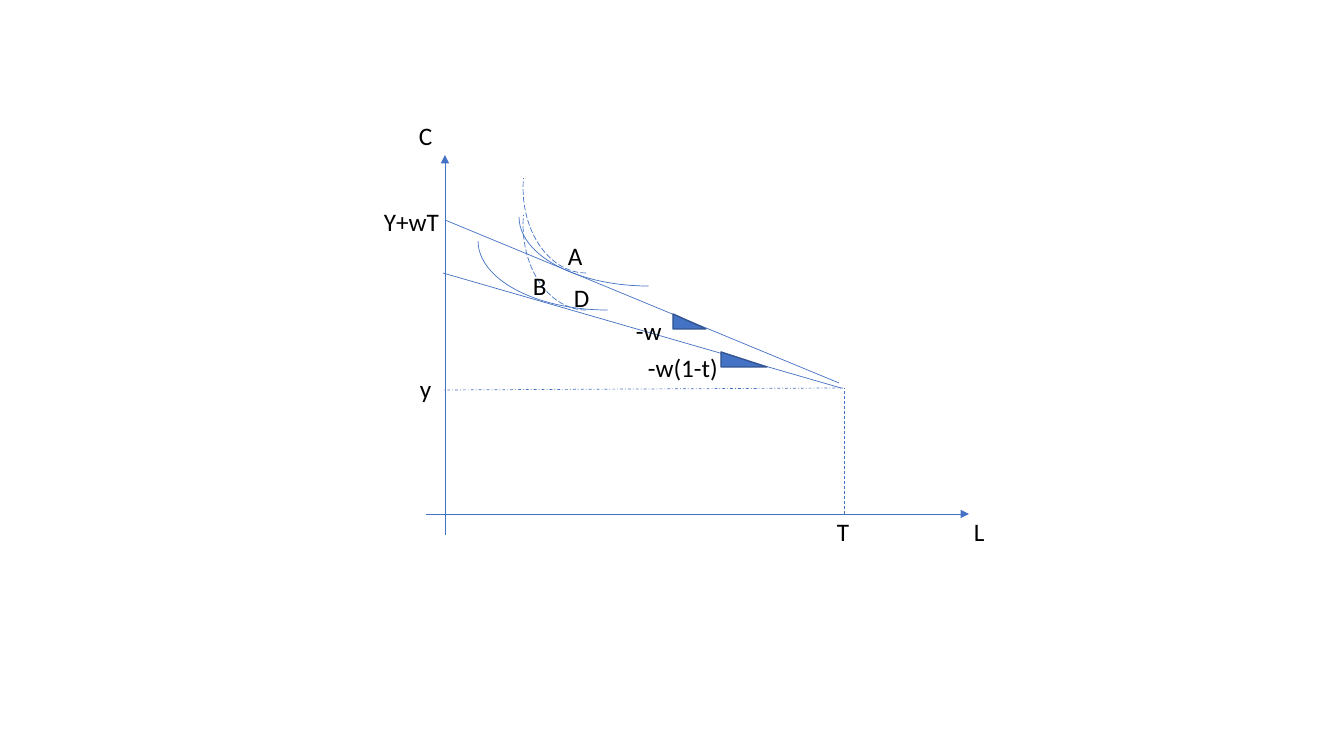
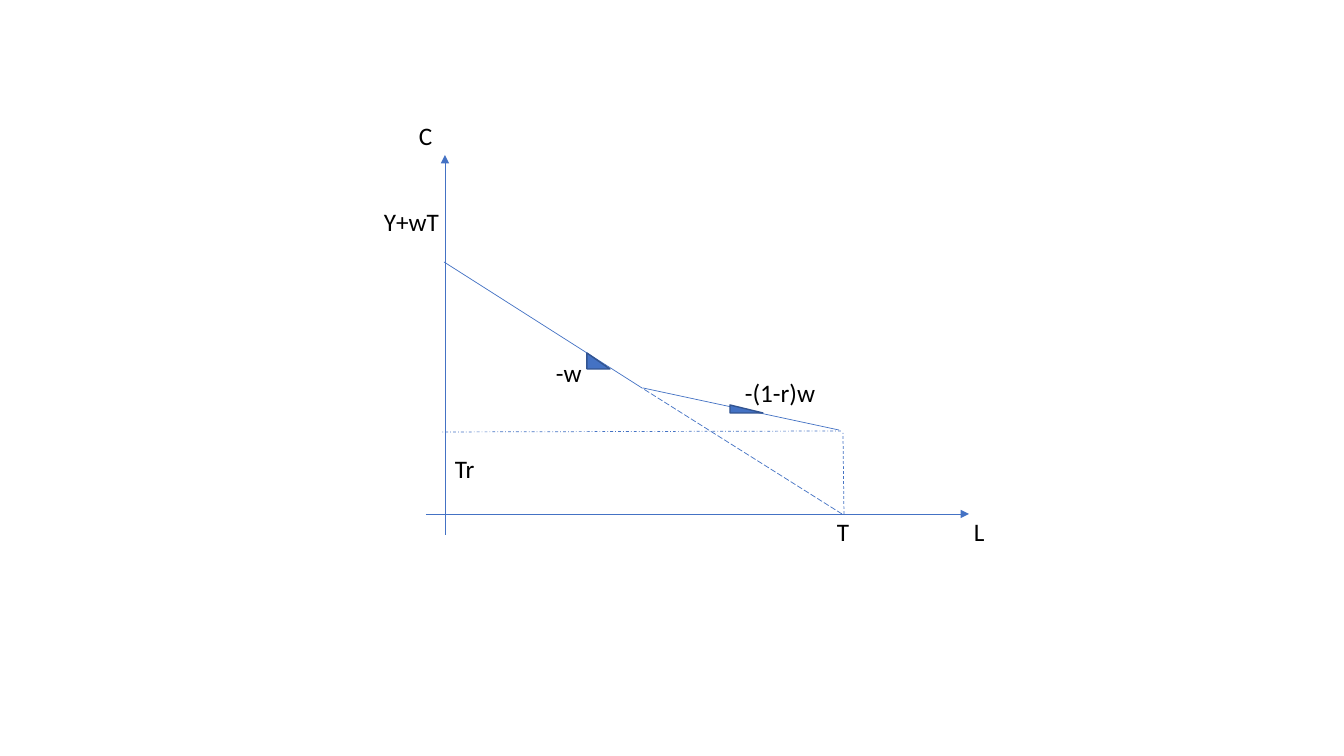
"""Two budget-line diagrams of consumption C against leisure L."""
from lxml import etree
from pptx import Presentation, util as u
from pptx.dml.color import RGBColor
from pptx.enum import dml, shapes, text
from pptx.oxml.ns import qn

SCALE = 914400 / 100.8
HUES = {"blue": "4472C4", "edge": "325491", "ink": "000000"}
DASH = dml.MSO_LINE
FRAME = {"auto_size": text.MSO_AUTO_SIZE.SHAPE_TO_FIT_TEXT}
FONT = {"name": "Calibri", "size": u.Pt(18)}


def px(*nums):
    return [u.Emu(round(n * SCALE)) for n in nums]


def hue(name):
    return RGBColor.from_string(HUES[name])


def assign(item, values):
    for key, value in values.items():
        setattr(item, key, value)


def stroke(item, width=0.5, tone="blue", dash=None):
    item.line.color.rgb = hue(tone)
    assign(item.line, {"width": u.Pt(width), "dash_style": dash})


def line(slide, start, end, dash=None, arrow=False):
    item = slide.shapes.add_connector(
        shapes.MSO_CONNECTOR.STRAIGHT, *px(*start, *end))
    stroke(item, dash=dash)
    props = item._element.spPr
    if arrow:
        etree.SubElement(props.find(qn("a:ln")), qn("a:tailEnd"), type="triangle")
    etree.SubElement(props, qn("a:effectLst"))


def label(slide, words, left, top, width, wrap=False):
    frame = slide.shapes.add_textbox(*px(left, top, width, 40)).text_frame
    assign(frame, {**FRAME, "word_wrap": wrap})
    run = frame.paragraphs[0].add_run()
    run.text = words
    assign(run.font, FONT)
    run.font.color.rgb = hue("ink")


def slope(slide, *box):
    item = slide.shapes.add_shape(shapes.MSO_SHAPE.RIGHT_TRIANGLE, *px(*box))
    item.shadow.inherit = False
    item.fill.solid()
    item.fill.fore_color.rgb = hue("blue")
    stroke(item, 1, "edge")


def curve(slide, left, top, width, height, sweep=0, dash=None):
    item = slide.shapes.add_shape(
        shapes.MSO_SHAPE.ARC, *px(left, top, width, height))
    item.shadow.inherit = False
    item.rotation = 180
    item.adjustments[0] = 162
    item.adjustments[1] = sweep
    item.fill.background()
    stroke(item, dash=dash)


def axes(deck):
    slide = deck.slides.add_slide(deck.slide_layouts[6])
    line(slide, (445, 535), (445, 155), arrow=True)
    line(slide, (426, 514), (969, 514), arrow=True)
    label(slide, "L", 964, 511, 31)
    label(slide, "C", 409, 115, 34)
    label(slide, "T", 827, 511, 32)
    label(slide, "Y+wT", 374, 201, 84, True)
    return slide


def tax(deck):
    slide = axes(deck)
    line(slide, (844, 514), (844, 388), DASH.DASH)
    line(slide, (843, 388), (444, 390), DASH.DASH_DOT)
    line(slide, (839, 383), (445, 220))
    line(slide, (841, 388), (443, 273))
    slope(slide, 673, 314, 33, 15)
    slope(slide, 721, 352, 46, 15)
    for left, top in ((519, 148), (478, 172)):
        curve(slide, left, top, 259, 138)
    for top in (103, 140):
        curve(slide, 523, top, 126, 170, 5.42, DASH.LONG_DASH)
    for words, left, top, width in (
            ("y", 410, 368, 32), ("-w", 626, 310, 46),
            ("-w(1-t)", 638, 347, 91), ("A", 558, 235, 35),
            ("B", 523, 265, 34), ("D", 564, 277, 36)):
        label(slide, words, left, top, width)


def transfer(deck):
    slide = axes(deck)
    line(slide, (844, 514), (843, 433), DASH.DASH)
    line(slide, (841, 431), (442, 432), DASH.DASH_DOT)
    line(slide, (642, 388), (444, 262))
    line(slide, (839, 430), (643, 388))
    line(slide, (842, 514), (642, 388), DASH.LONG_DASH)
    slope(slide, 587, 353, 23, 16)
    slope(slide, 730, 405, 33, 8)
    label(slide, "Tr", 445, 448, 46, True)
    label(slide, "-(1-r)w", 735, 372, 92)
    label(slide, "-w", 546, 352, 46)


def main():
    deck = Presentation()
    assign(deck, dict(zip(("slide_width", "slide_height"), px(1344, 756))))
    tax(deck)
    transfer(deck)
    deck.save("out.pptx")


main()
